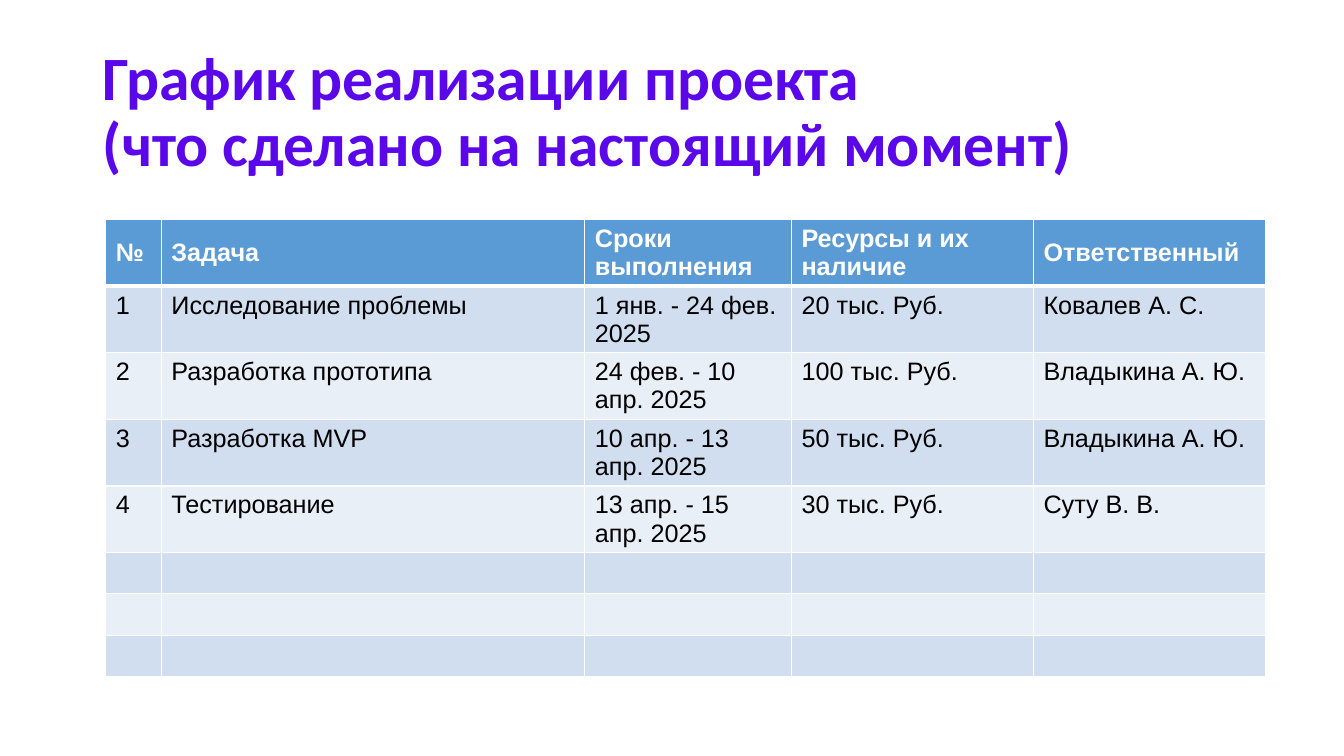
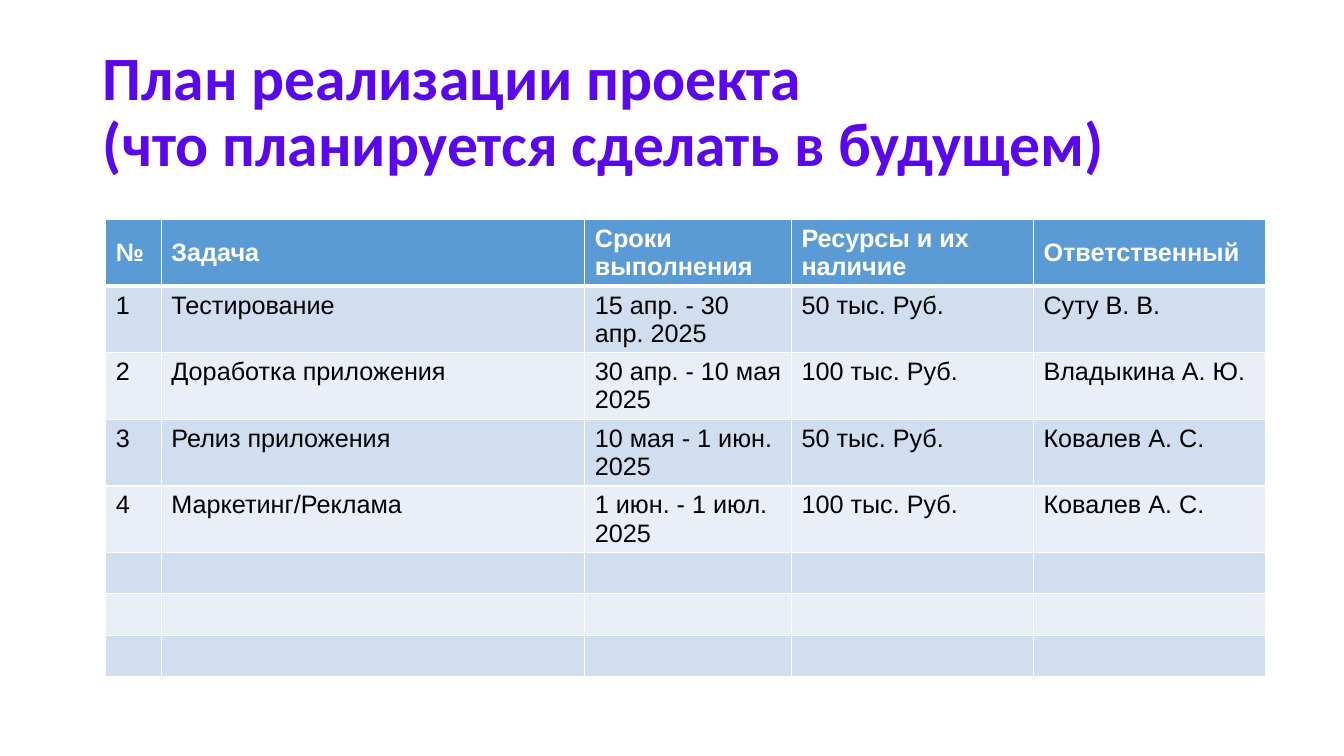
from lxml import etree
from pptx import Presentation
from pptx.dml.color import RGBColor
from pptx.enum.text import MSO_ANCHOR, MSO_AUTO_SIZE, PP_ALIGN
from pptx.oxml.ns import qn
from pptx.util import Inches, Pt

LEFT, TOP, MIDDLE = PP_ALIGN.LEFT, MSO_ANCHOR.TOP, MSO_ANCHOR.MIDDLE
NO_AUTOFIT = MSO_AUTO_SIZE.NONE
TITLE_ONLY = 5

HEADINGS = ("№", "Задача", "Сроки выполнения", "Ресурсы и их наличие", "Ответственный")
SCHEDULES = [
    {
        "title": ("График реализации проекта", "(что сделано на настоящий момент)"),
        "tasks": [
            ("Исследование проблемы", "1 янв. - 24 фев. 2025", "20 тыс. Руб.", "Ковалев А. С."),
            ("Разработка прототипа", "24 фев. - 10 апр. 2025", "100 тыс. Руб.", "Владыкина А. Ю."),
            ("Разработка MVP", "10 апр. - 13 апр. 2025", "50 тыс. Руб.", "Владыкина А. Ю."),
            ("Тестирование", "13 апр. - 15 апр. 2025", "30 тыс. Руб.", "Суту В. В."),
        ],
    },
    {
        "title": ("План реализации проекта", "(что планируется сделать в будущем)"),
        "tasks": [
            ("Тестирование", "15 апр. - 30 апр. 2025", "50 тыс. Руб.", "Суту В. В."),
            ("Доработка приложения", "30 апр. - 10 мая 2025", "100 тыс. Руб.", "Владыкина А. Ю."),
            ("Релиз приложения", "10 мая - 1 июн. 2025", "50 тыс. Руб.", "Ковалев А. С."),
            ("Маркетинг/Реклама", "1 июн. - 1 июл. 2025", "100 тыс. Руб.", "Ковалев А. С."),
        ],
    },
]

COLORS = {
    "title": "5A08E9",
    "header": "5B9BD5",
    "odd": "D0DEEF",
    "even": "E9EFF7",
    "white": "FFFFFF",
    "black": "000000",
}
TITLE_FONT = {"name": "Calibri", "size": Pt(44), "bold": True}
HEADER_FONT = {"name": "Arial", "size": Pt(18), "bold": True}
BODY_FONT = {**HEADER_FONT, "bold": False}
TITLE_BOX = {"left": Inches(0.92), "top": Inches(0.4), "width": Inches(11.5), "height": Inches(1.45)}
TABLE_LEFT, TABLE_TOP = Inches(1.05), Inches(2.18)
COLUMN_WIDTHS = [Inches(width) for width in (0.55, 4.2, 2.05, 2.4, 2.3)]
ROW_HEIGHT = Inches(0.41)
ROW_COUNT = 8
THIN, THICK = Pt(1), Pt(3)


def set_values(target, values):
    for name, value in values.items():
        setattr(target, name, value)


def format_runs(frame, font, color):
    for para in frame.paragraphs:
        for span in para.runs:
            set_values(span.font, font)
            span.font.color.rgb = RGBColor.from_string(COLORS[color])


def add_borders(cell, top, bottom):
    properties = cell._tc.get_or_add_tcPr()
    widths = {"a:lnL": THIN, "a:lnR": THIN, "a:lnT": top, "a:lnB": bottom}
    for index, (tag, width) in enumerate(widths.items()):
        line = etree.Element(qn(tag), w=str(width))
        fill = etree.SubElement(line, qn("a:solidFill"))
        etree.SubElement(fill, qn("a:srgbClr"), val=COLORS["white"])
        properties.insert(index, line)


def add_title(page, lines):
    title = page.shapes.title
    frame = title.text_frame
    frame.text = "\v".join(lines)
    set_values(frame, {"auto_size": NO_AUTOFIT, "vertical_anchor": MIDDLE})
    set_values(frame.paragraphs[0], {"alignment": LEFT, "line_spacing": 0.9})
    format_runs(frame, TITLE_FONT, "title")


def style_cell(cell, row):
    header = row == 0
    fill = "header" if header else "odd" if row % 2 else "even"
    cell.fill.solid()
    cell.fill.fore_color.rgb = RGBColor.from_string(COLORS[fill])
    cell.vertical_anchor = MIDDLE if header else TOP
    add_borders(cell, THICK if row == 1 else THIN, THICK if header else THIN)
    format_runs(cell.text_frame, HEADER_FONT if header else BODY_FONT, "white" if header else "black")


def add_schedule(page, tasks):
    rows = [HEADINGS] + [(str(number), *task) for number, task in enumerate(tasks, 1)]
    rows += [("",) * len(HEADINGS)] * (ROW_COUNT - len(rows))
    table = page.shapes.add_table(
        ROW_COUNT, len(HEADINGS), TABLE_LEFT, TABLE_TOP, sum(COLUMN_WIDTHS), ROW_HEIGHT * ROW_COUNT
    ).table
    for column, width in zip(table.columns, COLUMN_WIDTHS):
        column.width = width
    for row, texts in enumerate(rows):
        for column, text in enumerate(texts):
            cell = table.cell(row, column)
            if text:
                cell.text = text
            style_cell(cell, row)


def main():
    deck = Presentation()
    set_values(deck, {"slide_width": Inches(13.33), "slide_height": Inches(7.5)})
    layout = deck.slide_layouts[TITLE_ONLY]
    set_values(layout.placeholders[0], TITLE_BOX)
    for schedule in SCHEDULES:
        page = deck.slides.add_slide(layout)
        add_title(page, schedule["title"])
        add_schedule(page, schedule["tasks"])
    deck.save("out.pptx")


if __name__ == "__main__":
    main()
